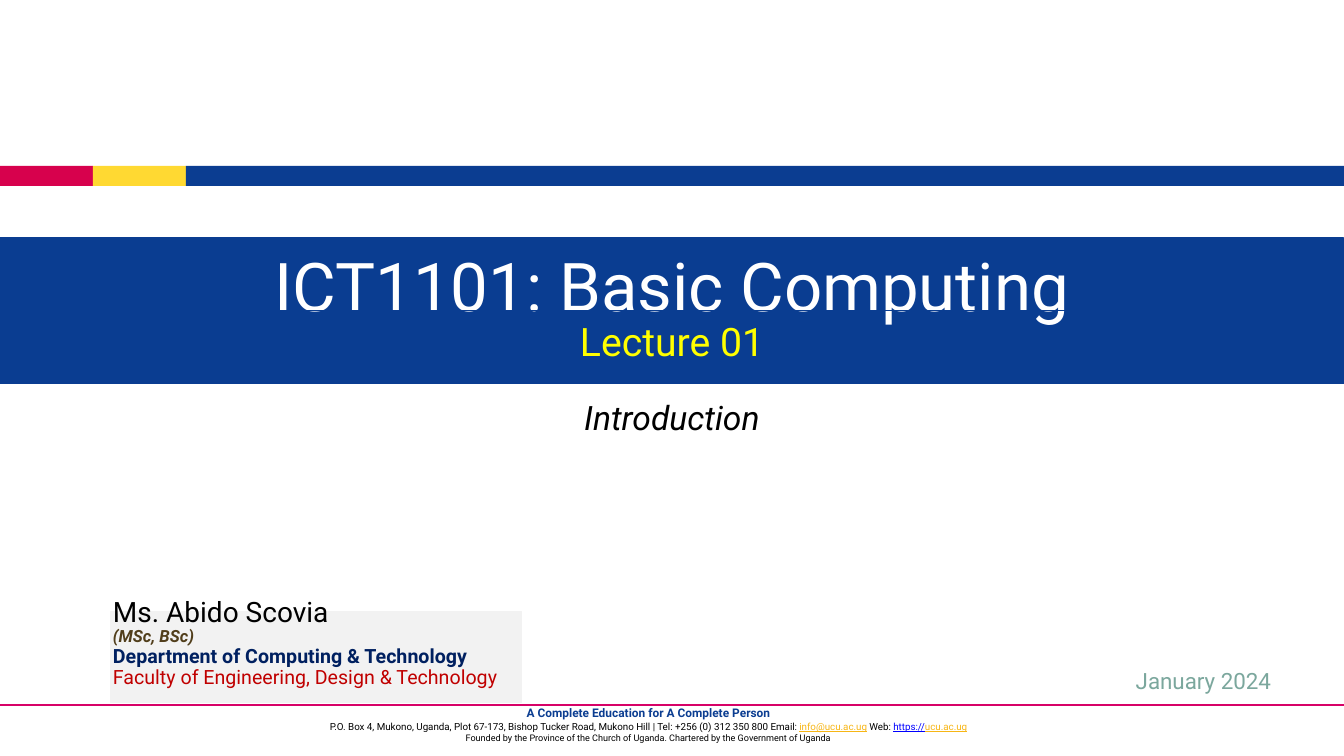
"""Build the title slide of the Basic Computing lecture."""
import pptx
import pptx.dml.color
import pptx.enum.shapes
import pptx.enum.text
import pptx.oxml
import pptx.util

PX = 914400 / 100.8
SLIDE_WIDTH, SLIDE_HEIGHT = 1344, 756
FONT = "Roboto"
BLUE, BAND_BLUE, LINK = "0B3D91", "0A3D91", "F7B615"
LEFT, CENTER = pptx.enum.text.PP_ALIGN.LEFT, pptx.enum.text.PP_ALIGN.CENTER
TOP, MIDDLE = pptx.enum.text.MSO_ANCHOR.TOP, pptx.enum.text.MSO_ANCHOR.MIDDLE

STRIPE_TOP, STRIPE_HEIGHT, STRIPE_BLOCK = 166, 20, 93
STRIPE_COLORS = ["D7014D", "FFD932", BLUE]
FOOTER_RULE_TOP = 705

FOOTER = [
    [("A Complete Education for A Complete Person", 8.5, BLUE, "b")],
    [("P.O. Box 4, Mukono, Uganda, Plot 67-173, Bishop Tucker Road, Mukono Hill"
      " | Tel: +256 (0) 312 350 800 Email: ", 7, "000000", ""),
     ("info@ucu.ac.ug", 7, LINK, "u"),
     (" Web: ", 7, "000000", ""),
     ("https://", 7, "0000FF", "u"),
     ("ucu.ac.ug", 7, LINK, "u")],
    [("Founded by the Province of the Church of Uganda. "
      "Chartered by the Government of Uganda", 6.5, "000000", "")],
]
TOPIC = [[("Introduction", 24, "000000", "i")]]
LECTURER = [
    [("Ms. Abido Scovia", 20, "000000", "")],
    [("(MSc, BSc)", 12, "513E1B", "bi")],
    [("Department of Computing & Technology", 14, "002060", "b")],
    [("Faculty of Engineering, Design & Technology", 14, "C00000", "")],
]
COURSE = [[("ICT1101: Basic Computing", 48, "FFFFFF", "")]]
LECTURE = [[("Lecture 01", 28, "FFFF00", "")]]
DATE = [[("January 2024", 16, "7BA79D", "")]]


def color(value):
    """Turn a hex string into a colour."""
    return pptx.dml.color.RGBColor.from_string(value)


def emu(*lengths):
    """Turn px lengths into EMU."""
    return [round(length * PX) for length in lengths]


def write(shape, paragraphs, align=CENTER, anchor=MIDDLE, spacing=0.9):
    """Fill a shape with formatted paragraphs."""
    frame = shape.text_frame
    frame.word_wrap = True
    frame.vertical_anchor = anchor
    for index, runs in enumerate(paragraphs):
        paragraph = frame.add_paragraph() if index else frame.paragraphs[0]
        paragraph.alignment = align
        paragraph.line_spacing = spacing
        for text, size, ink, style in runs:
            run = paragraph.add_run()
            run.text = text
            run.font.name = FONT
            run.font.size = pptx.util.Pt(size)
            run.font.color.rgb = color(ink)
            run.font.bold = "b" in style
            run.font.italic = "i" in style
            run.font.underline = "u" in style


def add_text(slide, box, paragraphs, **layout):
    """Add a text box."""
    write(slide.shapes.add_textbox(*emu(*box)), paragraphs, **layout)


def add_rectangle(slide, box, fill=None, line=None):
    """Add a rectangle with an optional fill and outline."""
    kind = pptx.enum.shapes.MSO_SHAPE.RECTANGLE
    shape = slide.shapes.add_shape(kind, *emu(*box))
    shape.shadow.inherit = False
    if fill:
        shape.fill.solid()
        shape.fill.fore_color.rgb = color(fill)
    else:
        shape.fill.background()
    if line:
        shape.line.color.rgb = color(line)
        shape.line.width = pptx.util.Pt(0.75)
    else:
        shape.line.fill.background()
    return shape


def add_rule(slide, top, ink):
    """Add a horizontal line across the slide."""
    kind = pptx.enum.shapes.MSO_CONNECTOR.STRAIGHT
    rule = slide.shapes.add_connector(kind, *emu(0, top, SLIDE_WIDTH, top))
    rule.line.color.rgb = color(ink)
    rule.line.width = pptx.util.Pt(1)
    properties = rule.line._get_or_add_ln().getparent()
    properties.append(pptx.oxml.parse_xml(
        '<a:effectLst xmlns:a="http://schemas.openxmlformats.org/drawingml/2006/main"/>'))


def main():
    """Build and save the slide."""
    presentation = pptx.Presentation()
    presentation.slide_width, presentation.slide_height = emu(SLIDE_WIDTH, SLIDE_HEIGHT)
    slide = presentation.slides.add_slide(presentation.slide_layouts[6])

    for index, fill in enumerate(STRIPE_COLORS):
        left = index * STRIPE_BLOCK
        last = index == len(STRIPE_COLORS) - 1
        width = SLIDE_WIDTH - left if last else STRIPE_BLOCK
        add_rectangle(slide, (left, STRIPE_TOP, width, STRIPE_HEIGHT), fill)

    add_text(slide, (234, 701, 829, 47), FOOTER, anchor=TOP, spacing=1.0)
    add_rule(slide, FOOTER_RULE_TOP, "D70167")
    add_text(slide, (168, 397, 1008, 182), TOPIC, anchor=TOP)
    add_rectangle(slide, (111, 612, 411, 91), "F2F2F2", "F2F2F2")
    add_text(slide, (103, 580, 548, 127), LECTURER, align=LEFT)

    add_rectangle(slide, (0, 238, SLIDE_WIDTH, 146), BAND_BLUE, BAND_BLUE)
    for top, height, heading in [(241, 98, COURSE), (310, 68, LECTURE)]:
        box = (0, top, SLIDE_WIDTH, height)
        write(add_rectangle(slide, box, line=BAND_BLUE), heading)
    add_text(slide, (1064, 658, 279, 48), DATE)

    presentation.save("out.pptx")


if __name__ == "__main__":
    main()
